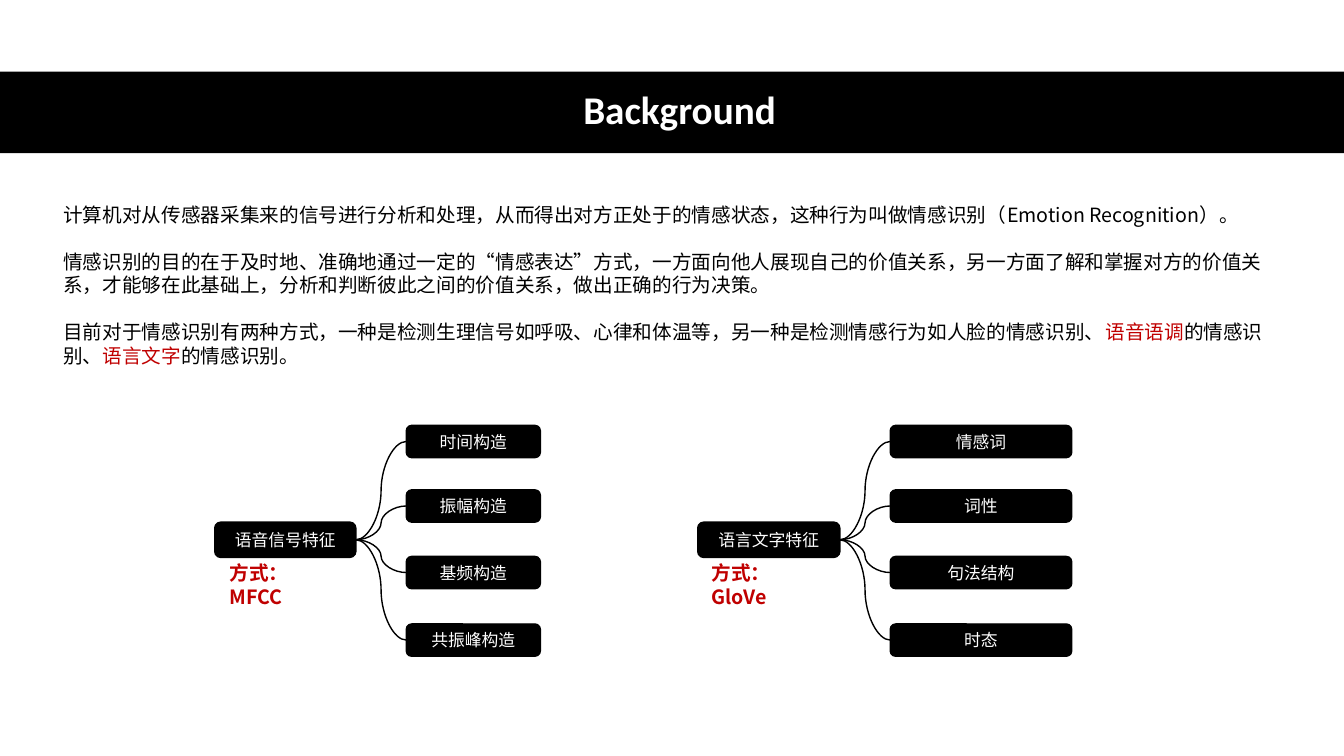
from dataclasses import dataclass

from pptx import Presentation
from pptx.dml.color import RGBColor
from pptx.enum.shapes import MSO_CONNECTOR, MSO_SHAPE
from pptx.enum.text import MSO_ANCHOR, PP_ALIGN
from pptx.oxml.ns import qn
from pptx.util import Inches, Pt

RECT, ROUNDED = MSO_SHAPE.RECTANGLE, MSO_SHAPE.ROUNDED_RECTANGLE
CURVE = MSO_CONNECTOR.CURVE
CENTER, LEFT = PP_ALIGN.CENTER, PP_ALIGN.LEFT
MIDDLE, TOP = MSO_ANCHOR.MIDDLE, MSO_ANCHOR.TOP

COLORS = {"ink": "000000", "paper": "FFFFFF", "accent": "C00000"}
LATIN_FONT, CJK_FONT = "Calibri", "Noto Sans CJK SC"
TITLE_ONLY = 5
RIGHT_SITE, LEFT_SITE = 3, 1

ROOT_TOP, ROOT_HEIGHT = 5.18, 0.35
LEAF_TOPS, LEAF_HEIGHT = (4.22, 4.86, 5.52, 6.19), 0.32
METHOD_TOP, METHOD_HEIGHT = 5.52, 0.34


@dataclass(frozen=True)
class FeatureTree:
    """One feature family, its members and the method that extracts it."""
    root: str
    root_left: float
    root_width: float
    leaves: tuple[str, ...]
    leaf_left: float
    leaf_width: float
    method: str
    method_left: float


TREES = (
    FeatureTree("语音信号特征", 2.13, 1.4,
                ("时间构造", "振幅构造", "基频构造", "共振峰构造"),
                4.03, 1.33, "方式：MFCC", 2.18),
    FeatureTree("语言文字特征", 6.92, 1.41,
                ("情感词", "词性", "句法结构", "时态"),
                8.83, 1.8, "方式：GloVe", 6.96),
)

# Each paragraph is a list of (text, colour) runs
INTRODUCTION = (
    [("计算机对从传感器采集来的信号进行分析和处理，从而得出对方正处于的情感状态，"
      "这种行为叫做情感识别（Emotion Recognition）。", "ink")],
    [("情感识别的目的在于及时地、准确地通过一定的“情感表达”方式，"
      "一方面向他人展现自己的价值关系，另一方面了解和掌握对方的价值关系，"
      "才能够在此基础上，分析和判断彼此之间的价值关系，做出正确的行为决策。", "ink")],
    [("目前对于情感识别有两种方式，一种是检测生理信号如呼吸、心律和体温等，"
      "另一种是检测情感行为如人脸的情感识别、", "ink"),
     ("语音语调", "accent"), ("的情感识别、", "ink"),
     ("语言文字", "accent"), ("的情感识别。", "ink")],
)


def rgb(color: str) -> RGBColor:
    return RGBColor.from_string(COLORS[color])


def add_run(paragraph, text: str, size: float, color: str,
            font: str = CJK_FONT, bold: bool = False) -> None:
    run = paragraph.add_run()
    run.text = text
    run.font.size, run.font.bold, run.font.name = Pt(size), bold, font
    run.font.color.rgb = rgb(color)
    east_asian = run.font._element.makeelement(qn("a:ea"), {"typeface": font})
    run.font._element.find(qn("a:latin")).addnext(east_asian)


def add_box(slide, preset, left: float, top: float, width: float, height: float):
    box = slide.shapes.add_shape(preset, Inches(left), Inches(top),
                                 Inches(width), Inches(height))
    box.shadow.inherit = False
    box.fill.solid()
    box.fill.fore_color.rgb = rgb("ink")
    box.line.color.rgb = rgb("ink")
    box.line.width = Pt(1)
    return box


def add_node(slide, label: str, left: float, top: float, width: float, height: float):
    node = add_box(slide, ROUNDED, left, top, width, height)
    node.text_frame.vertical_anchor = MIDDLE
    paragraph = node.text_frame.paragraphs[0]
    paragraph.alignment = CENTER
    add_run(paragraph, label, 12, "paper")
    return node


def add_text_area(slide, left: float, top: float, width: float, height: float):
    area = slide.shapes.add_textbox(Inches(left), Inches(top),
                                    Inches(width), Inches(height))
    area.text_frame.word_wrap = True
    area.text_frame.vertical_anchor = TOP
    return area.text_frame


def add_branch(slide, root, leaf) -> None:
    branch = slide.shapes.add_connector(CURVE, 0, 0, 0, 0)
    branch.begin_connect(root, RIGHT_SITE)
    branch.end_connect(leaf, LEFT_SITE)
    branch.line.color.rgb = rgb("ink")
    branch.line.width = Pt(1)
    properties = branch._element.spPr
    properties.append(properties.makeelement(qn("a:effectLst"), {}))


def add_header(slide) -> None:
    band = add_box(slide, RECT, 0, 0.71, 13.33, 0.81)
    band.line.fill.background()
    title = slide.shapes.title
    band._element.addnext(title._element)  # title in front of its band
    title.left, title.top = Inches(0.61), Inches(0.7)
    title.width, title.height = Inches(12.26), Inches(0.81)
    title.text_frame.vertical_anchor = MIDDLE
    heading = title.text_frame.paragraphs[0]
    heading.alignment, heading.line_spacing = CENTER, 0.9
    add_run(heading, "Background", 28, "paper", LATIN_FONT, bold=True)


def add_introduction(slide) -> None:
    frame = add_text_area(slide, 0.53, 1.96, 12.12, 1.75)
    for index, runs in enumerate(INTRODUCTION):
        paragraph = frame.add_paragraph() if index else frame.paragraphs[0]
        paragraph.alignment = LEFT
        paragraph.space_before = Pt(16.8 if index else 0)
        for text, color in runs:
            add_run(paragraph, text, 14, color)


def add_tree(slide, tree: FeatureTree) -> None:
    root = add_node(slide, tree.root, tree.root_left, ROOT_TOP,
                    tree.root_width, ROOT_HEIGHT)
    for label, top in zip(tree.leaves, LEAF_TOPS):
        leaf = add_node(slide, label, tree.leaf_left, top,
                        tree.leaf_width, LEAF_HEIGHT)
        add_branch(slide, root, leaf)
    method = add_text_area(slide, tree.method_left, METHOD_TOP, 1.3, METHOD_HEIGHT)
    add_run(method.paragraphs[0], tree.method, 14, "accent", bold=True)


def main() -> None:
    presentation = Presentation()
    presentation.slide_width, presentation.slide_height = Inches(13.33), Inches(7.5)
    slide = presentation.slides.add_slide(presentation.slide_layouts[TITLE_ONLY])
    add_header(slide)
    add_introduction(slide)
    for tree in TREES:
        add_tree(slide, tree)
    presentation.save("out.pptx")


if __name__ == "__main__":
    main()
